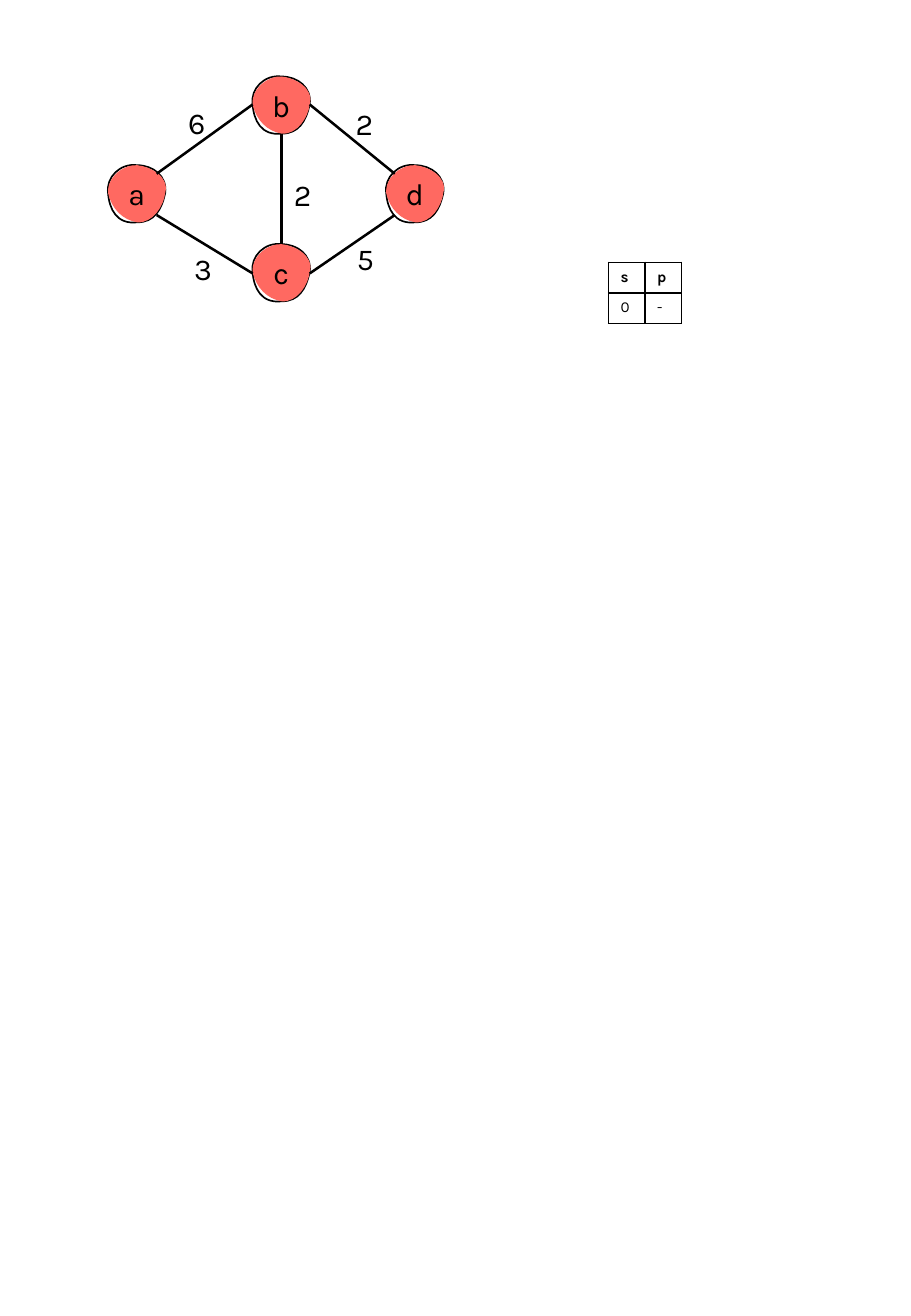
from dataclasses import dataclass

from lxml import etree
from pptx import Presentation
from pptx.dml.color import RGBColor
from pptx.enum.shapes import MSO_CONNECTOR
from pptx.enum.text import MSO_ANCHOR, MSO_AUTO_SIZE, PP_ALIGN
from pptx.oxml import parse_xml
from pptx.oxml.ns import nsdecls, qn
from pptx.util import Pt

PX = 9144  # 100 px to the inch
BLACK = RGBColor(0x00, 0x00, 0x00)
CORAL = RGBColor(0xFF, 0x69, 0x61)
STRAIGHT = MSO_CONNECTOR.STRAIGHT
MIDDLE = MSO_ANCHOR.MIDDLE
CENTER = PP_ALIGN.CENTER
FIT_TEXT = MSO_AUTO_SIZE.SHAPE_TO_FIT_TEXT

GRAPH_FONT = {"name": "Karla", "size": Pt(18), "bold": False}
TABLE_FONT = GRAPH_FONT | {"size": Pt(9)}
HEADER_FONT = TABLE_FONT | {"bold": True}

NODE_SIZE = 47
LABEL_SIZE = (39, 40)
# Each blob starts at START; every curve is two control points and an end.
START = (0, 23)
OUTLINE_CURVES = [
    [(-2, 10), (10, -2), (24, 0)],
    [(37, 0), (49, 9), (47, 23)],
    [(44, 37), (38, 47), (24, 47)],
    [(7, 49), (1, 36), START],
]
FILL_CURVES = [
    [(-1, 9), (14, -1), (24, 0)],
    [(34, 1), (51, 9), (47, 23)],
    [(46, 33), (37, 48), (24, 47)],
    [(12, 45), (3, 36), START],
]


@dataclass
class Node:
    name: str
    left: int
    top: int


@dataclass
class Edge:
    start: tuple[int, int]
    end: tuple[int, int]
    weight: str
    label_at: tuple[int, int]


NODES = [
    Node("b", 208, 63),
    Node("a", 89, 136),
    Node("c", 208, 201),
    Node("d", 318, 136),
]
EDGES = [
    Edge((208, 86), (129, 143), "6", (145, 81)),
    Edge((208, 225), (129, 177), "3", (150, 201)),
    Edge((325, 177), (255, 225), "5", (284, 193)),
    Edge((232, 110), (232, 201), "2", (232, 140)),
    Edge((325, 143), (255, 86), "2", (283, 82)),
]
TABLE_ROWS = [("s", "p"), ("0", "-")]
TABLE_AT = (501, 216)
COLUMN_WIDTH, ROW_HEIGHT = 30, 25


def emu(*lengths: int) -> list[int]:
    return [length * PX for length in lengths]


def write(tf, text: str, font: dict) -> None:
    p = tf.paragraphs[0]
    r = p.add_run()
    r.text = text
    for name, value in font.items():
        setattr(r.font, name, value)
    r.font.color.rgb = BLACK


def add_curves(path_list, curves: list, **paint: str) -> None:
    """Add one closed curved path, painted as the attributes say."""
    path = etree.SubElement(path_list, qn("a:path"),
                            w=str(NODE_SIZE), h=str(NODE_SIZE), **paint)
    segments = [("a:moveTo", [START])] + [("a:cubicBezTo", c) for c in curves]
    for tag, points in segments:
        segment = etree.SubElement(path, qn(tag))
        for x, y in points:
            etree.SubElement(segment, qn("a:pt"), x=str(x), y=str(y))
    etree.SubElement(path, qn("a:close"))


def add_node(slide, node: Node) -> None:
    builder = slide.shapes.build_freeform(0, 0, scale=PX)
    builder.add_line_segments(
        [(NODE_SIZE, 0), (NODE_SIZE, NODE_SIZE), (0, NODE_SIZE)])
    sp = builder.convert_to_shape(*emu(node.left, node.top))
    path_list = sp._element.spPr.find(".//" + qn("a:pathLst"))
    path_list.remove(path_list[0])
    add_curves(path_list, OUTLINE_CURVES, fill="none")
    add_curves(path_list, FILL_CURVES, stroke="0")
    sp.shadow.inherit = False
    sp.fill.solid()
    sp.fill.fore_color.rgb = CORAL
    sp.line.color.rgb = BLACK
    sp.line.width = Pt(1)
    tf = sp.text_frame
    tf.vertical_anchor = MIDDLE
    tf.paragraphs[0].alignment = CENTER
    write(tf, node.name, GRAPH_FONT)


def add_edge(slide, edge: Edge) -> None:
    line = slide.shapes.add_connector(STRAIGHT, *emu(*edge.start, *edge.end))
    line.line.color.rgb = BLACK
    line.line.width = Pt(1.5)
    etree.SubElement(line._element.spPr, qn("a:effectLst"))


def add_weight(slide, edge: Edge) -> None:
    tf = slide.shapes.add_textbox(*emu(*edge.label_at, *LABEL_SIZE)).text_frame
    tf.word_wrap = False
    tf.auto_size = FIT_TEXT
    write(tf, edge.weight, GRAPH_FONT)


def add_borders(cell) -> None:
    properties = cell._tc.get_or_add_tcPr()
    for index, side in enumerate(("lnL", "lnR", "lnT", "lnB")):
        properties.insert(index, parse_xml(
            f'<a:{side} {nsdecls("a")} w="{Pt(1)}"><a:solidFill>'
            f'<a:srgbClr val="{BLACK}"/></a:solidFill></a:{side}>'))


def add_distance_table(slide) -> None:
    rows, columns = len(TABLE_ROWS), len(TABLE_ROWS[0])
    size = (columns * COLUMN_WIDTH, rows * ROW_HEIGHT)
    table = slide.shapes.add_table(rows, columns, *emu(*TABLE_AT, *size)).table
    table.first_row = table.horz_banding = False
    for i, texts in enumerate(TABLE_ROWS):
        for j, text in enumerate(texts):
            cell = table.cell(i, j)
            cell.fill.background()
            add_borders(cell)
            write(cell.text_frame, text, TABLE_FONT if i else HEADER_FONT)


def main() -> None:
    prs = Presentation()
    prs.slide_width, prs.slide_height = emu(750, 1083)
    slide = prs.slides.add_slide(prs.slide_layouts[6])
    for node in NODES:
        add_node(slide, node)
    for edge in EDGES:
        add_edge(slide, edge)
    for edge in EDGES:
        add_weight(slide, edge)
    add_distance_table(slide)
    prs.save("out.pptx")


if __name__ == "__main__":
    main()
